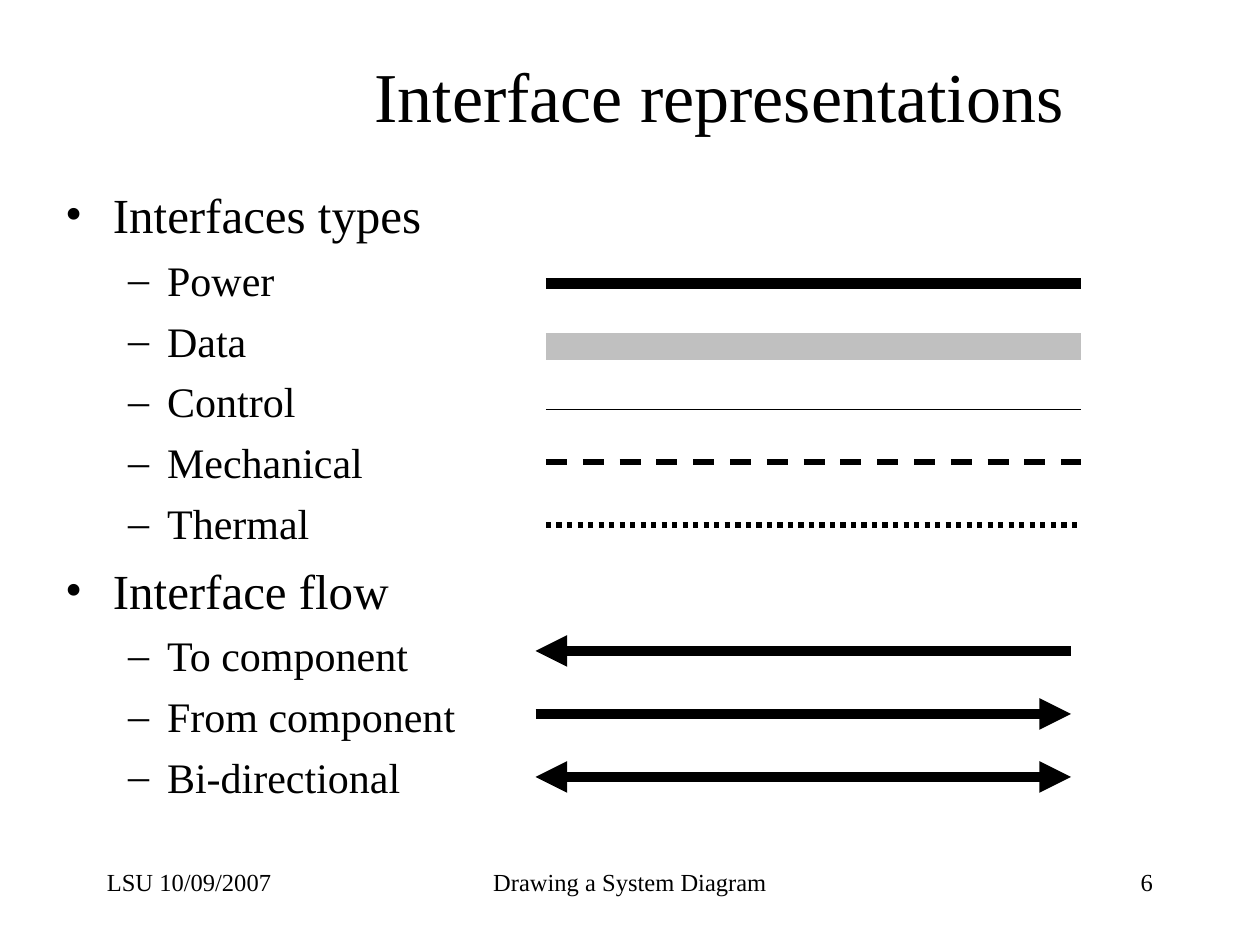
import pptx
import pptx.dml.color
import pptx.enum.dml
import pptx.enum.shapes
import pptx.enum.text
import pptx.oxml
import pptx.oxml.ns
import pptx.util
import lxml.etree

FONT = "Times New Roman"
COLORS = {"ink": "000000", "data": "C0C0C0"}
ALIGN = pptx.enum.text.PP_ALIGN
ANCHOR = pptx.enum.text.MSO_ANCHOR
DASH = pptx.enum.dml.MSO_LINE

# Bullet, left margin and hanging indent (inches), size and space before (points)
LEVELS = [("•", 0.38, 0.38, 28, 7), ("–", 0.81, 0.31, 24, 6)]

TOPICS = [
    ("Interfaces types", ["Power", "Data", "Control", "Mechanical", "Thermal"]),
    ("Interface flow", ["To component", "From component", "Bi-directional"]),
]

# Row, colour, width, dash
TYPE_LINES = [
    (27, "ink", 6, None),
    (33, "data", 16, None),
    (39, "ink", 1, None),
    (44, "ink", 3, DASH.DASH),
    (50, "ink", 3, DASH.ROUND_DOT),
]
# Row, arrowheads
FLOW_LINES = [(62, ["headEnd"]), (68, ["tailEnd"]), (74, ["headEnd", "tailEnd"])]

# Left column, width in columns, text, alignment
FOOTERS = [
    (9, 25, "LSU 10/09/2007", ALIGN.LEFT),
    (41, 38, "Drawing a System Diagram", ALIGN.CENTER),
    (86, 25, "6", ALIGN.RIGHT),
]


def grid(count):
    """Length of a number of grid cells, twelve to the inch."""
    return pptx.util.Inches(count / 12)


def color(name):
    return pptx.dml.color.RGBColor.from_string(COLORS[name])


def place(box, left, top, width, height):
    box.left, box.top = grid(left), grid(top)
    box.width, box.height = grid(width), grid(height)


def add_child(parent, tag, **attributes):
    child = lxml.etree.SubElement(parent, pptx.oxml.ns.qn(tag))
    for key, value in attributes.items():
        child.set(key, value)
    return child


def format_frame(frame, anchor=ANCHOR.TOP):
    frame.word_wrap = True
    frame.auto_size = pptx.enum.text.MSO_AUTO_SIZE.NONE
    frame.vertical_anchor = anchor


def format_para(para, size, align):
    para.alignment = align
    for span in para.runs:
        span.font.name = FONT
        span.font.size = pptx.util.Pt(size)
        span.font.color.rgb = color("ink")


def fill_title(box, text):
    place(box, 28, 5, 81, 8)
    box.text_frame.text = text
    format_frame(box.text_frame, ANCHOR.MIDDLE)
    format_para(box.text_frame.paragraphs[0], 40, ALIGN.CENTER)


def format_item(para, level):
    bullet, margin, hang, size, space = LEVELS[level]
    para.level = level
    para.space_before = pptx.util.Pt(space)
    format_para(para, size, ALIGN.LEFT)
    properties = para._p.get_or_add_pPr()
    properties.set("marL", str(pptx.util.Inches(margin)))
    properties.set("indent", str(-pptx.util.Inches(hang)))
    add_child(properties, "a:buFont", typeface=FONT)
    add_child(properties, "a:buChar", char=bullet)


def fill_list(box, topics):
    place(box, 5, 17, 45, 63)
    items = []
    for heading, entries in topics:
        items.append((heading, 0))
        items.extend((entry, 1) for entry in entries)
    frame = box.text_frame
    frame.text = "\n".join(text for text, _ in items)
    format_frame(frame)
    for para, (_, level) in zip(frame.paragraphs, items):
        format_item(para, level)


def add_line(page, left, row, name, width, dash=None, heads=()):
    line = page.shapes.add_connector(
        pptx.enum.shapes.MSO_CONNECTOR.STRAIGHT,
        grid(left), grid(row), grid(left + 51), grid(row))
    line.line.color.rgb = color(name)
    line.line.width = pptx.util.Pt(width)
    if dash is not None:
        line.line.dash_style = dash
    for end in heads:
        add_child(line.line._get_or_add_ln(), "a:" + end, type="triangle")
    add_child(line._element.spPr, "a:effectLst")


def add_footer(page, left, width, text, align):
    box = page.shapes.add_textbox(grid(left), grid(82), grid(width), grid(6))
    box.text_frame.text = text
    format_frame(box.text_frame)
    format_para(box.text_frame.paragraphs[0], 14, align)


def main():
    deck = pptx.Presentation()
    deck.slide_width, deck.slide_height = grid(120), grid(90)
    page = deck.slides.add_slide(deck.slide_layouts[1])

    # Title and list
    fill_title(page.shapes.title, "Interface representations")
    fill_list(page.placeholders[1], TOPICS)

    # Sample lines for types and flows
    for row, name, width, dash in TYPE_LINES:
        add_line(page, 52, row, name, width, dash)
    for row, heads in FLOW_LINES:
        add_line(page, 51, row, "ink", 6, heads=heads)

    # Footer
    for footer in FOOTERS:
        add_footer(page, *footer)

    deck.save("out.pptx")


if __name__ == "__main__":
    main()
